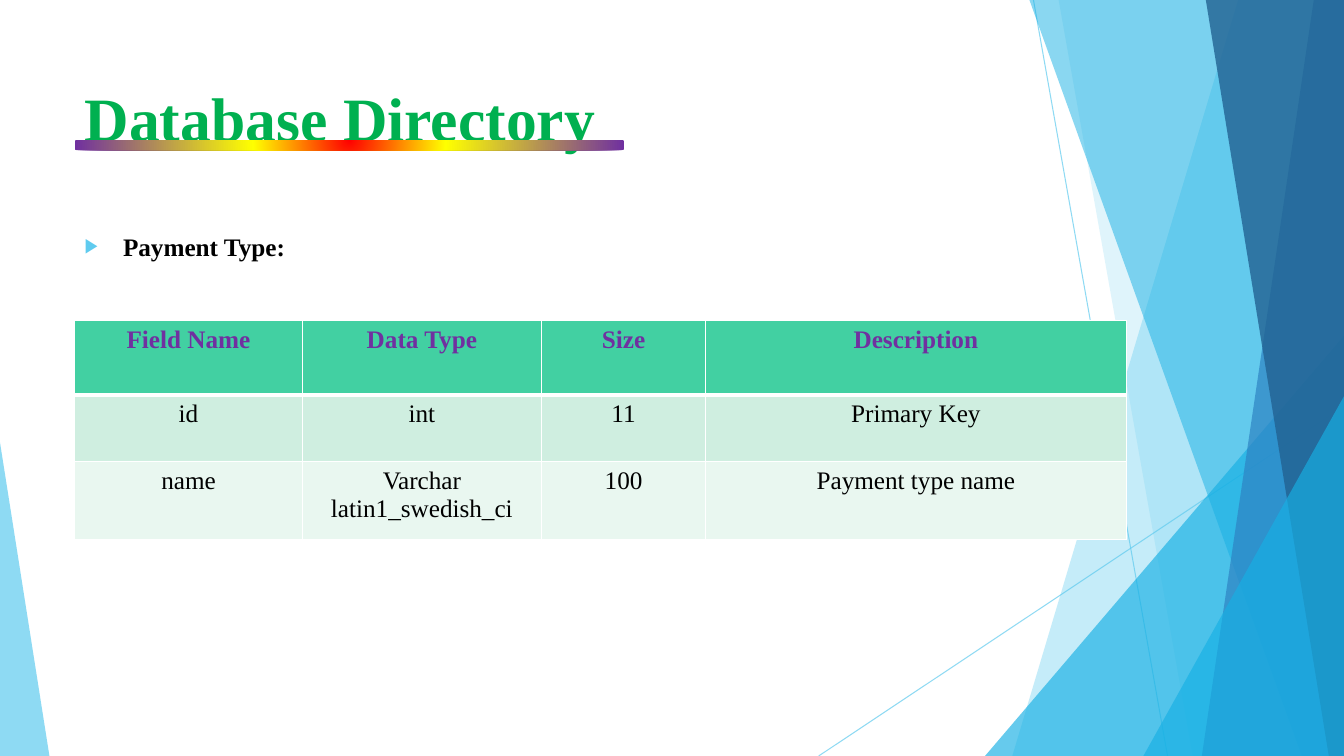
from collections import namedtuple
from dataclasses import dataclass
from lxml.etree import SubElement as Sub
from pptx import Presentation
from pptx.dml.color import RGBColor as RGB
from pptx.enum.shapes import MSO_CONNECTOR as Link, MSO_SHAPE as Form
from pptx.enum.text import MSO_ANCHOR as Anchor, MSO_AUTO_SIZE as Auto, PP_ALIGN as Align
from pptx.oxml.ns import qn
from pptx.util import Inches, Pt

Box = namedtuple("Box", "x y w h")


@dataclass(frozen=True)
class Theme:
    font: str = "Times New Roman"
    big: int = 44
    base: int = 18
    title: str = "00B050"
    head: str = "7030A0"
    ink: str = "000000"
    white: str = "FFFFFF"
    sky: str = "5FCBEF"
    cyan: str = "17B0E4"
    blue: str = "2E83C3"
    navy: str = "226292"
    rows: tuple = ("42D0A2", "CFEEE0", "E9F7F0")
    glow: tuple = ((0, "FF0000"), (35, "FFFF00"), (100, "7030A0"))


T = Theme()


def node(root, tag, **attrs):
    return Sub(root, qn(tag), {k: str(v) for k, v in attrs.items()})


def place(shape, box):
    shape.left, shape.top, shape.width, shape.height = map(Inches, box)


def write(para, text, size, color, bold):
    run = para.add_run()
    run.text = text
    font = run.font
    font.name, font.size, font.bold = T.font, Pt(size), bold
    font.color.rgb = RGB.from_string(color)


def fade(shape, alpha):
    for color in shape.element.iter(qn("a:srgbClr")):
        node(color, "a:alpha", val=alpha * 1000)


def paint(shape, color, alpha):
    shape.shadow.inherit = False
    shape.fill.solid()
    shape.fill.fore_color.rgb = RGB.from_string(color)
    shape.line.fill.background()
    fade(shape, alpha)


def ray(slide, box, start, end):
    ends = [Inches(v) for x, y in (start, end) for v in (box.x + x, box.y + y)]
    line = slide.shapes.add_connector(Link.STRAIGHT, *ends)
    line.line.color.rgb = RGB.from_string(T.sky)
    line.line.width = Pt(0.75)
    node(line.element.spPr, "a:effectLst")
    fade(line, 70)


def band(slide, box, top, foot, color, alpha):
    points = [(top, 0), (box.w, 0), (box.w, box.h), (foot, box.h)]
    spots = [(Inches(box.x + x), Inches(box.y + y)) for x, y in points]
    pen = slide.shapes.build_freeform(*spots[0])
    pen.add_line_segments(spots[1:])
    paint(pen.convert_to_shape(), color, alpha)


def wedge(slide, box, left, width, height, tip, color, alpha):
    area = Box(box.x + left, box.y + box.h - height, width, height)
    shape = slide.shapes.add_shape(Form.ISOSCELES_TRIANGLE, *map(Inches, area))
    shape.adjustments[0] = tip
    paint(shape, color, alpha)


def facets(slide, box):
    ray(slide, box, (10.25, 0), (11.58, box.h))
    ray(slide, box, (box.w, 4.03), (8.12, box.h))
    band(slide, box, 12.28, 10.04, T.sky, 36)
    band(slide, box, 10.5, 11.83, T.sky, 20)
    wedge(slide, box, 9.77, 3.56, 4.17, 1, T.cyan, 66)
    band(slide, box, 10.21, 12.91, T.cyan, 50)
    band(slide, box, 13.03, 11.92, T.blue, 70)
    band(slide, box, 11.96, 13.18, T.navy, 80)
    wedge(slide, box, 11.34, 1.99, 3.57, 1, T.cyan, 66)
    wedge(slide, box, 0, 0.49, 3.11, 0, T.sky, 70)


def fit(slide, holder, box, inset):
    place(holder, box)
    slide.shapes.element.append(holder.element)
    frame = holder.text_frame
    frame.auto_size, frame.word_wrap = Auto.NONE, True
    frame.vertical_anchor = Anchor.TOP
    frame.margin_top = Inches(inset)
    para = frame.paragraphs[0]
    para.alignment, para.space_before = Align.LEFT, Pt(0)
    return para


def topic(slide, box, text):
    para = fit(slide, slide.placeholders[1], box, 0.08)
    props = para._p.get_or_add_pPr()
    props.set("marL", str(Inches(0.38)))
    props.set("indent", str(Inches(-0.38)))
    node(node(props, "a:buClr"), "a:srgbClr", val=T.sky)
    node(props, "a:buSzPct", val=80000)
    node(props, "a:buFont", typeface=T.font)
    node(props, "a:buChar", char="▶")
    write(para, text, T.base, T.ink, True)


def header(slide, box, text):
    para = fit(slide, slide.shapes.title, box, 0.12)
    write(para, text, T.big, T.title, True)
    area = Box(box.x, box.y + 0.72, 5.45, 0.1)
    bar = slide.shapes.add_shape(Form.ROUNDED_RECTANGLE, *map(Inches, area))
    bar.shadow.inherit = False
    bar.line.fill.background()
    bar.fill.gradient()
    grad = bar.element.spPr.find(qn("a:gradFill"))
    for part in list(grad):
        grad.remove(part)
    stops = node(grad, "a:gsLst")
    for spot, color in T.glow:
        node(node(stops, "a:gs", pos=spot * 1000), "a:srgbClr", val=color)
    way = node(grad, "a:path", path="circle")
    node(way, "a:fillToRect", l=50000, t=-80000, r=50000, b=180000)


def edge(cell, row):
    props = cell._tc.get_or_add_tcPr()
    for side in "LRTB":
        thick = (row, side) in ((0, "B"), (1, "T"))
        line = node(props, "a:ln" + side, w=Pt(3 if thick else 1))
        node(node(line, "a:solidFill"), "a:srgbClr", val=T.white)


def fields(slide, box, data, widths, heights):
    frame = slide.shapes.add_table(len(data), len(widths), *map(Inches, box))
    table = frame.table
    for col, width in zip(table.columns, widths):
        col.width = Inches(width)
    for r, (texts, height) in enumerate(zip(data, heights)):
        table.rows[r].height = Inches(height)
        for c, text in enumerate(texts):
            cell = table.cell(r, c)
            edge(cell, r)
            cell.fill.solid()
            cell.fill.fore_color.rgb = RGB.from_string(T.rows[r])
            para = cell.text_frame.paragraphs[0]
            para.alignment = Align.CENTER
            write(para, text, T.base, T.ink if r else T.head, r == 0)


def main():
    deck = Presentation()
    page = Box(0, 0, 13.33, 7.5)
    deck.slide_width, deck.slide_height = Inches(page.w), Inches(page.h)
    slide = deck.slides.add_slide(deck.slide_layouts[1])
    data = [
        ("Field Name", "Data Type", "Size", "Description"),
        ("id", "int", "11", "Primary Key"),
        ("name", "Varchar latin1_swedish_ci", "100", "Payment type name"),
    ]
    left = 0.74
    facets(slide, page)
    topic(slide, Box(left, 2.21, 9.4, 4.24), "Payment Type:")
    header(slide, Box(left, 0.67, 9.65, 1.44), "Database Directory")
    fields(slide, Box(left, 3.18, 10.43, 2.17), data,
           (2.26, 2.37, 1.63, 4.17), (0.74, 0.66, 0.77))
    deck.save("out.pptx")


if __name__ == "__main__":
    main()
